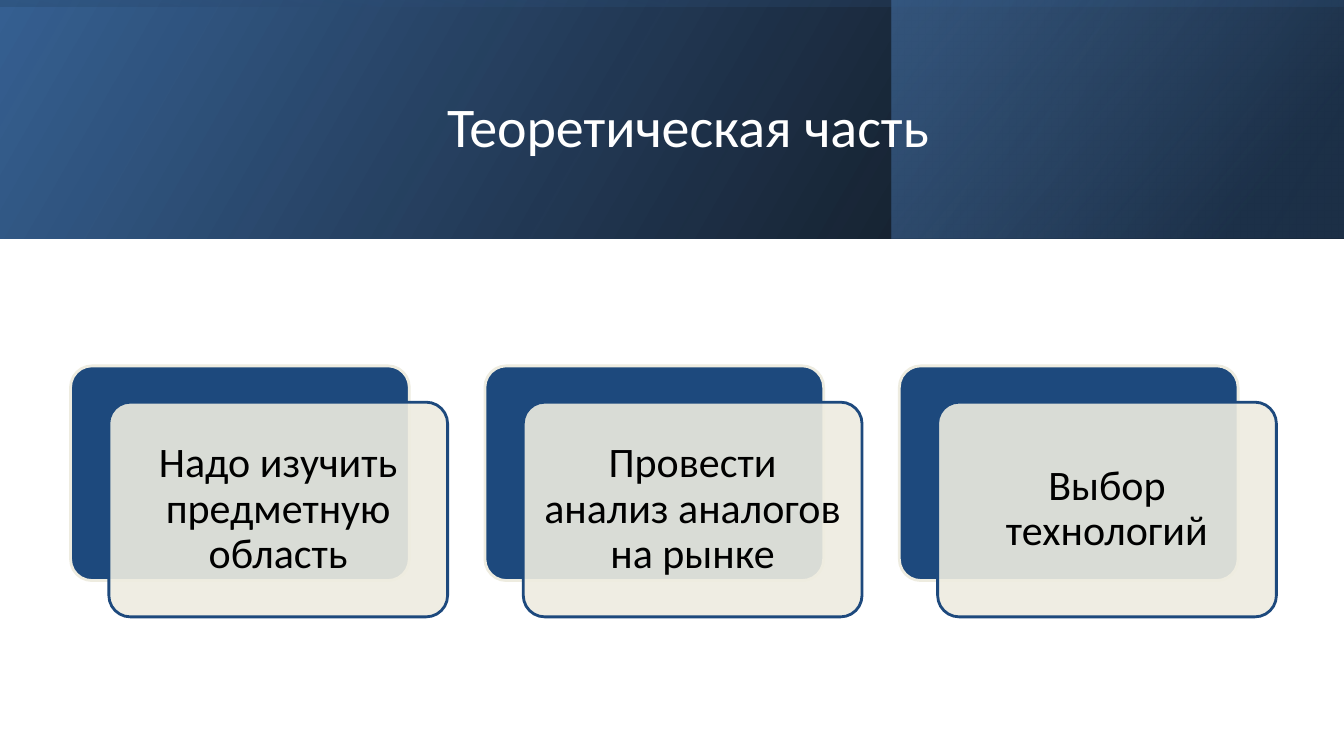
from lxml.etree import SubElement
from pptx import Presentation
from pptx.dml.color import RGBColor
from pptx.enum.shapes import MSO_SHAPE as Shape
from pptx.enum.text import MSO_ANCHOR as Anchor, PP_ALIGN as Align
from pptx.oxml.ns import qn
from pptx.util import Inches, Pt

COLORS = {"navy": "1D497D", "cream": "EEECE0", "white": "FFFFFF", "black": "000000",
          "steel": "366092", "deep": "244061", "sky": "4F81BD"}
WIDTH, HEIGHT = 13.33, 7.5
BANNER = 2.37

deck = Presentation()
deck.slide_width, deck.slide_height = Inches(WIDTH), Inches(HEIGHT)
page = deck.slides.add_slide(deck.slide_layouts[6])


def add_box(kind, left, top, width, height):
    box = page.shapes.add_shape(kind, *map(Inches, (left, top, width, height)))
    box.shadow.inherit = False
    return box


def write(frame, text, size, color, inset_x, inset_y):
    frame.word_wrap = True
    frame.vertical_anchor = Anchor.MIDDLE
    frame.margin_left = frame.margin_right = Inches(inset_x)
    frame.margin_top = frame.margin_bottom = Inches(inset_y)
    para = frame.paragraphs[0]
    para.text = text
    para.alignment = Align.CENTER
    para.font.name, para.font.size = "Calibri", Pt(size)
    para.font.color.rgb = RGBColor.from_string(COLORS[color])
    return para


banner_layers = [
    ((0, 0, WIDTH, BANNER), 0, 330, [(0, "black", 96), (100, "steel", 100)]),
    ((8.84, 0, WIDTH - 8.84, BANNER), 0, 320,
     [(0, "deep", 68), (19, "deep", 68), (100, "sky", 48)]),
    (((WIDTH - BANNER) / 2, (BANNER - WIDTH) / 2, BANNER, WIDTH), 270, 350,
     [(0, "steel", 16), (23, "steel", 16), (99, "black", 45), (100, "black", 45)]),
]
for place, rotation, angle, stops in banner_layers:
    layer = add_box(Shape.RECTANGLE, *place)
    layer.rotation = rotation
    layer.line.fill.background()
    layer.fill.gradient()
    properties = layer._element.spPr
    properties.find(qn("a:xfrm")).set("flipH", "1")
    gradient = properties.find(qn("a:gradFill"))
    gradient.set("rotWithShape", "1")
    gradient.find(qn("a:lin")).set("ang", str(angle * 60000))
    stop_list = gradient.find(qn("a:gsLst"))
    for stop in list(stop_list):
        stop_list.remove(stop)
    for position, color, opacity in stops:
        stop = SubElement(stop_list, qn("a:gs"), pos=str(position * 1000))
        tint = SubElement(stop, qn("a:srgbClr"), val=COLORS[color])
        SubElement(tint, qn("a:alpha"), val=str(opacity * 1000))

title = page.shapes.add_textbox(Inches(1.51), Inches(0.38), Inches(10.63), Inches(1.72))
write(title.text_frame, "Теоретическая часть", 40, "white", 0.1, 0.05)

CARD_WIDTH, CARD_HEIGHT = 3.36, 2.13
CARD_LEFT, CARD_TOP, CARD_STEP = 0.7, 3.63, 4.11
tasks = ["Надо изучить предметную область",
         "Провести\vанализ аналогов на рынке",
         "Выбор технологий"]
for column, task in enumerate(tasks):
    left = CARD_LEFT + column * CARD_STEP
    for shift_x, shift_y, fill, line in [(0, 0, "navy", "cream"),
                                         (0.38, 0.36, "cream", "navy")]:
        card = add_box(Shape.ROUNDED_RECTANGLE, left + shift_x, CARD_TOP + shift_y,
                       CARD_WIDTH, CARD_HEIGHT)
        card.adjustments[0] = 0.1
        card.fill.solid()
        card.fill.fore_color.rgb = RGBColor.from_string(COLORS[fill])
        card.line.color.rgb = RGBColor.from_string(COLORS[line])
        card.line.width = Pt(2)
    tint = card._element.spPr.find(qn("a:solidFill")).find(qn("a:srgbClr"))
    SubElement(tint, qn("a:alpha"), val="90000")
    write(card.text_frame, task, 30, "black", 0.12, 0.12).line_spacing = 0.9

deck.save("out.pptx")
